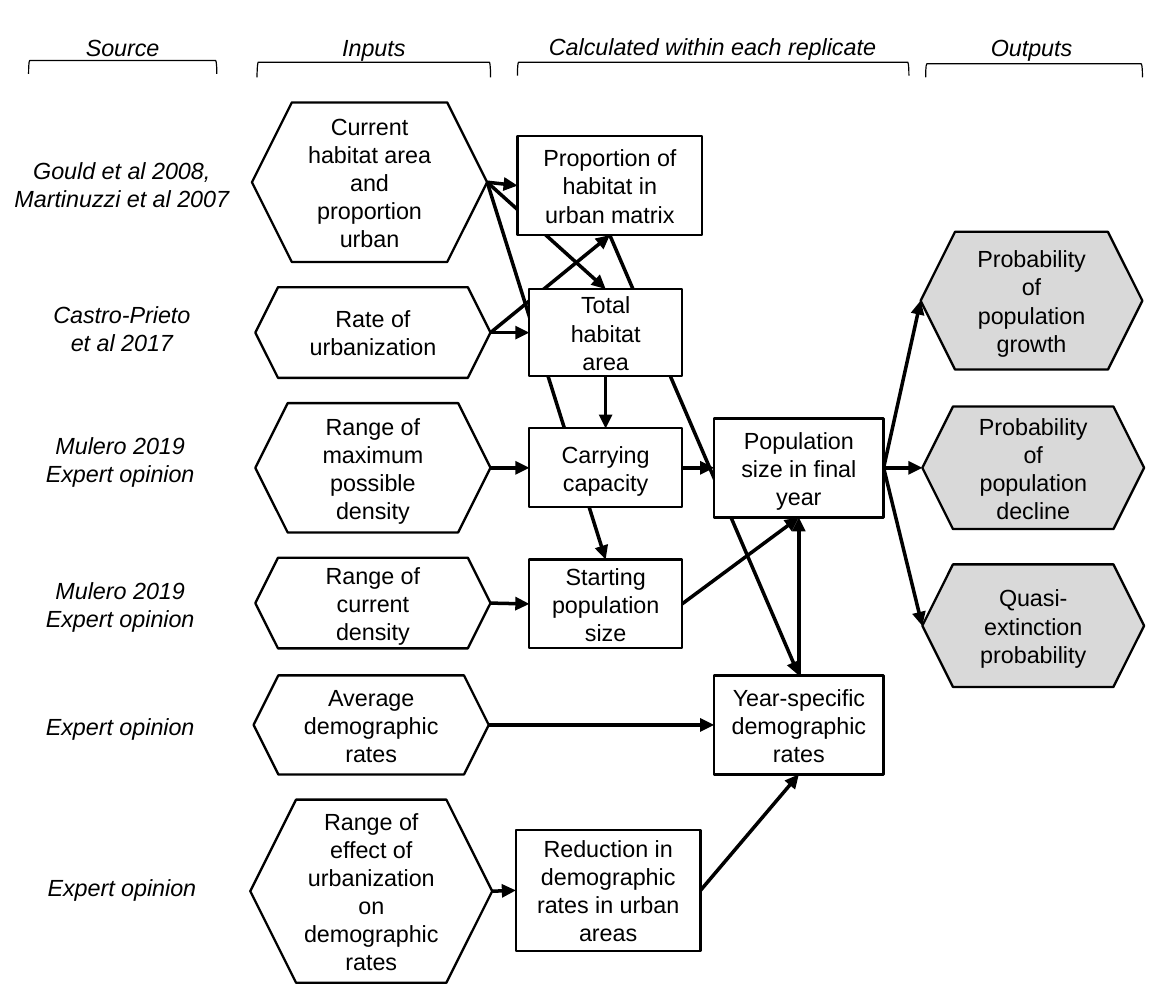
from dataclasses import dataclass
from typing import Optional

from lxml.etree import SubElement
from pptx import Presentation
from pptx.dml.color import RGBColor
from pptx.enum.shapes import MSO_CONNECTOR, MSO_SHAPE
from pptx.enum.text import MSO_ANCHOR, MSO_AUTO_SIZE, PP_ALIGN
from pptx.oxml.ns import qn
from pptx.shapes.autoshape import Shape
from pptx.slide import Slide
from pptx.util import Inches, Pt

BLACK = RGBColor(0x00, 0x00, 0x00)
WHITE = RGBColor(0xFF, 0xFF, 0xFF)
GRAY = RGBColor(0xD9, 0xD9, 0xD9)
HEXAGON = MSO_SHAPE.HEXAGON
BOX = MSO_SHAPE.RECTANGLE


@dataclass(frozen=True)
class Node:
    text: str
    left: float
    top: float
    width: float
    height: float
    kind: MSO_SHAPE = BOX
    fill: Optional[RGBColor] = WHITE

    def side(self, name: str) -> tuple[float, float]:
        """Return the middle of the named side."""
        middle_x = self.left + self.width / 2
        middle_y = self.top + self.height / 2
        return {
            "left": (self.left, middle_y),
            "right": (self.left + self.width, middle_y),
            "top": (middle_x, self.top),
            "bottom": (middle_x, self.top + self.height),
        }[name]


@dataclass(frozen=True)
class Arrow:
    source: Node
    target: Node
    source_side: str = "right"
    target_side: str = "left"


@dataclass(frozen=True)
class Label:
    lines: tuple[str, ...]
    left: float
    top: float
    width: float
    height: float = 0.27


@dataclass(frozen=True)
class Bracket:
    left: float
    top: float
    width: float
    height: float = 0.08


HABITAT = Node("Current habitat area and proportion urban", 1.5, 0.61, 1.4, 0.95, HEXAGON, None)
URBANIZATION = Node("Rate of urbanization", 1.52, 1.71, 1.4, 0.54, HEXAGON, None)
MAX_DENSITY = Node("Range of maximum possible density", 1.52, 2.4, 1.4, 0.77, HEXAGON, None)
CURRENT_DENSITY = Node("Range of current density", 1.52, 3.32, 1.4, 0.54, HEXAGON, None)
AVERAGE_RATES = Node("Average demographic rates", 1.51, 4.02, 1.4, 0.59, HEXAGON, None)
URBAN_EFFECT = Node("Range of effect of urbanization on demographic rates",
                    1.49, 4.76, 1.44, 1.09, HEXAGON, None)
GROWTH = Node("Probability of population growth", 5.48, 1.38, 1.32, 0.82, HEXAGON, GRAY)
DECLINE = Node("Probability of population decline", 5.49, 2.42, 1.32, 0.73, HEXAGON, GRAY)
EXTINCTION = Node("Quasi-extinction probability", 5.49, 3.36, 1.32, 0.73, HEXAGON, GRAY)

URBAN_MATRIX = Node("Proportion of habitat in urban matrix", 3.08, 0.81, 1.1, 0.59)
TOTAL_AREA = Node("Total habitat area", 3.15, 1.72, 0.91, 0.52)
CAPACITY = Node("Carrying capacity", 3.15, 2.55, 0.91, 0.47)
STARTING_SIZE = Node("Starting population size", 3.15, 3.33, 0.91, 0.53)
FINAL_SIZE = Node("Population size in final year", 4.25, 2.49, 1.01, 0.59)
YEAR_RATES = Node("Year-specific demographic rates", 4.25, 4.02, 1.01, 0.59)
REDUCTION = Node("Reduction in demographic rates in urban areas", 3.07, 4.94, 1.1, 0.72)

HEXAGONS = (HABITAT, URBANIZATION, MAX_DENSITY, CURRENT_DENSITY, AVERAGE_RATES,
            URBAN_EFFECT, GROWTH, DECLINE, EXTINCTION)
BOXES = (URBAN_MATRIX, TOTAL_AREA, CAPACITY, STARTING_SIZE, FINAL_SIZE, YEAR_RATES, REDUCTION)

ARROWS = (
    Arrow(HABITAT, URBAN_MATRIX),
    Arrow(HABITAT, TOTAL_AREA, target_side="top"),
    Arrow(HABITAT, STARTING_SIZE, target_side="top"),
    Arrow(URBANIZATION, URBAN_MATRIX, target_side="bottom"),
    Arrow(URBANIZATION, TOTAL_AREA),
    Arrow(MAX_DENSITY, CAPACITY),
    Arrow(CURRENT_DENSITY, STARTING_SIZE),
    Arrow(AVERAGE_RATES, YEAR_RATES),
    Arrow(URBAN_EFFECT, REDUCTION),
    Arrow(URBAN_MATRIX, YEAR_RATES, "bottom", "top"),
    Arrow(TOTAL_AREA, CAPACITY, "bottom", "top"),
    Arrow(CAPACITY, FINAL_SIZE),
    Arrow(STARTING_SIZE, FINAL_SIZE, target_side="bottom"),
    Arrow(YEAR_RATES, FINAL_SIZE, "top", "bottom"),
    Arrow(REDUCTION, YEAR_RATES, target_side="bottom"),
    Arrow(FINAL_SIZE, GROWTH),
    Arrow(FINAL_SIZE, DECLINE),
    Arrow(FINAL_SIZE, EXTINCTION),
)

LABELS = (
    Label(("Source",), 0.2, 0.15, 1.06),
    Label(("Inputs",), 1.64, 0.15, 1.17),
    Label(("Calculated within each replicate",), 3.07, 0.14, 2.34),
    Label(("Outputs",), 5.48, 0.15, 1.32),
    Label(("Gould et al 2008, Martinuzzi et al 2007",), -0.04, 0.88, 1.53, 0.44),
    Label(("Castro-Prieto et al 2017",), 0.17, 1.74, 1.11, 0.44),
    Label(("Mulero 2019", "Expert opinion"), 0.16, 2.52, 1.11, 0.44),
    Label(("Mulero 2019", "Expert opinion"), 0.16, 3.38, 1.11, 0.44),
    Label(("Expert opinion",), 0.16, 4.19, 1.11),
    Label(("Expert opinion",), 0.17, 5.15, 1.11),
)

BRACKETS = (
    Bracket(0.17, 0.36, 1.12),
    Bracket(1.53, 0.37, 1.39, 0.09),
    Bracket(3.08, 0.37, 2.33),
    Bracket(5.51, 0.38, 1.29),
)


def write_lines(shape: Shape, lines: tuple[str, ...], italic: bool = False) -> None:
    frame = shape.text_frame
    frame.word_wrap = True
    for index, line in enumerate(lines):
        paragraph = frame.add_paragraph() if index else frame.paragraphs[0]
        paragraph.alignment = PP_ALIGN.CENTER
        run = paragraph.add_run()
        run.text = line
        run.font.name = "Arial"
        run.font.size = Pt(10)
        run.font.italic = italic
        run.font.color.rgb = BLACK


def style_shape(shape: Shape, fill: Optional[RGBColor], line_width: float) -> None:
    shape.shadow.inherit = False
    if fill is None:
        shape.fill.background()
    else:
        shape.fill.solid()
        shape.fill.fore_color.rgb = fill
    shape.line.color.rgb = BLACK
    shape.line.width = Pt(line_width)


def add_node(slide: Slide, node: Node) -> None:
    shape = slide.shapes.add_shape(node.kind, Inches(node.left), Inches(node.top),
                                   Inches(node.width), Inches(node.height))
    style_shape(shape, node.fill, 1)
    shape.text_frame.vertical_anchor = MSO_ANCHOR.MIDDLE
    write_lines(shape, (node.text,))


def add_arrow(slide: Slide, arrow: Arrow) -> None:
    ends = arrow.source.side(arrow.source_side) + arrow.target.side(arrow.target_side)
    connector = slide.shapes.add_connector(MSO_CONNECTOR.STRAIGHT, *map(Inches, ends))
    connector.line.color.rgb = BLACK
    connector.line.width = Pt(1.5)
    SubElement(connector.line._get_or_add_ln(), qn("a:tailEnd"), type="triangle")
    SubElement(connector._element.spPr, qn("a:effectLst"))


def add_label(slide: Slide, label: Label) -> None:
    text_box = slide.shapes.add_textbox(Inches(label.left), Inches(label.top),
                                        Inches(label.width), Inches(label.height))
    text_box.text_frame.auto_size = MSO_AUTO_SIZE.SHAPE_TO_FIT_TEXT
    write_lines(text_box, label.lines, italic=True)


def add_bracket(slide: Slide, bracket: Bracket) -> None:
    """Draw a left bracket turned to open downwards, inside the given bounds."""
    shift = (bracket.width - bracket.height) / 2
    shape = slide.shapes.add_shape(
        MSO_SHAPE.LEFT_BRACKET, Inches(bracket.left + shift), Inches(bracket.top - shift),
        Inches(bracket.height), Inches(bracket.width))
    shape.rotation = 90
    style_shape(shape, None, 0.5)


def main() -> None:
    presentation = Presentation()
    presentation.slide_width, presentation.slide_height = Inches(7), Inches(6)
    slide = presentation.slides.add_slide(presentation.slide_layouts[6])
    # Boxes come last so that they cover the arrows passing behind them.
    for draw, items in ((add_node, HEXAGONS), (add_arrow, ARROWS), (add_node, BOXES),
                        (add_label, LABELS), (add_bracket, BRACKETS)):
        for item in items:
            draw(slide, item)
    presentation.save("out.pptx")


if __name__ == "__main__":
    main()
